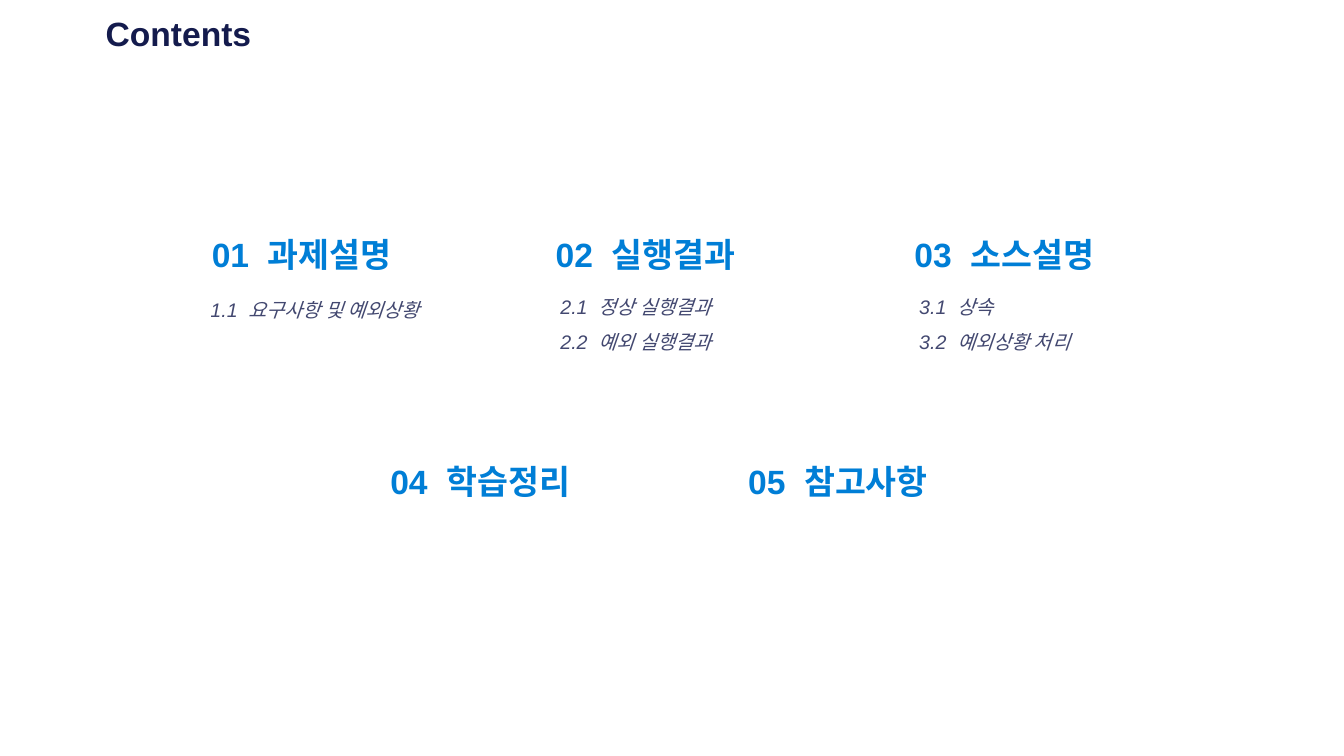
from lxml.etree import SubElement
from pptx import Presentation
from pptx.dml.color import RGBColor
from pptx.enum.shapes import MSO_SHAPE
from pptx.enum.text import MSO_ANCHOR, MSO_AUTO_SIZE, PP_ALIGN
from pptx.oxml.ns import qn
from pptx.util import Pt

COLORS = {"navy": "141B4D", "blue": "007ED6"}
SECTIONS = [
    (145.4, 163.4, "01\t과제설명"),
    (391, 163.4, "02\t실행결과"),
    (647.3, 163.4, "03\t소스설명"),
    (272.9, 325.4, "04\t학습정리"),
    (528.5, 325.4, "05\t참고사항"),
]
TOPICS = [
    (145.4, 211.7, 172, 21, ["1.1\t요구사항 및 예외상황"]),
    (395.3, 209.5, 123, 46, ["2.1\t정상 실행결과", "2.2\t예외 실행결과"]),
    (651.6, 209.5, 123, 46, ["3.1\t상속", "3.2\t예외상황 처리"]),
]


def write_text(frame, lines, size, color, bold=False, italic=False,
               tab=None, alpha=None, line_spacing=None, gap=0):
    for index, line in enumerate(lines):
        paragraph = frame.add_paragraph() if index else frame.paragraphs[0]
        paragraph.alignment = PP_ALIGN.LEFT
        if line_spacing:
            paragraph.line_spacing = line_spacing
        paragraph.space_before = Pt(gap if index else 0)
        if tab:
            tabs = SubElement(paragraph._p.get_or_add_pPr(), qn("a:tabLst"))
            SubElement(tabs, qn("a:tab"), pos=str(Pt(tab)), algn="l")
        run = paragraph.add_run()
        run.text = line
        font = run.font
        font.name, font.size, font.bold, font.italic = "Arial", Pt(size), bold, italic
        font.color.rgb = RGBColor.from_string(COLORS[color])
        if alpha:
            fill = run._r.rPr.find(qn("a:solidFill"))
            SubElement(fill[0], qn("a:alpha"), val=str(alpha * 1000))


class ContentsSlide:
    """Holds the contents slide and draws its title, sections and topics."""

    def __init__(self, presentation):
        self.slide = presentation.slides.add_slide(presentation.slide_layouts[6])

    def fit_frame(self, frame, anchor):
        frame.word_wrap = True
        frame.auto_size = MSO_AUTO_SIZE.SHAPE_TO_FIT_TEXT
        frame.vertical_anchor = anchor
        frame.margin_left = frame.margin_right = Pt(5)
        frame.margin_top = frame.margin_bottom = Pt(2.9)

    def title(self, text):
        box = self.slide.shapes.add_textbox(Pt(68.4), Pt(5), Pt(869), Pt(36.7))
        frame = box.text_frame
        frame.word_wrap = True
        frame.vertical_anchor = MSO_ANCHOR.BOTTOM
        write_text(frame, [text], 24, "navy", bold=True, line_spacing=0.9)

    def section(self, left, top, text):
        shape = self.slide.shapes.add_shape(
            MSO_SHAPE.ROUNDED_RECTANGLE, Pt(left), Pt(top), Pt(142.6), Pt(36))
        shape.adjustments[0] = 0.09
        shape.shadow.inherit = False
        shape.fill.background()
        shape.line.fill.background()
        self.fit_frame(shape.text_frame, MSO_ANCHOR.MIDDLE)
        write_text(shape.text_frame, [text], 24, "blue", bold=True, tab=40)

    def topics(self, left, top, width, height, lines):
        box = self.slide.shapes.add_textbox(Pt(left), Pt(top), Pt(width), Pt(height))
        self.fit_frame(box.text_frame, MSO_ANCHOR.TOP)
        write_text(box.text_frame, lines, 14, "navy", italic=True, tab=27.25,
                   alpha=80, line_spacing=0.9, gap=10)


def main():
    presentation = Presentation()
    presentation.slide_width, presentation.slide_height = Pt(960), Pt(540)
    contents = ContentsSlide(presentation)
    contents.title("Contents")
    for section in SECTIONS:
        contents.section(*section)
    for topic in TOPICS:
        contents.topics(*topic)
    presentation.save("out.pptx")


if __name__ == "__main__":
    main()
